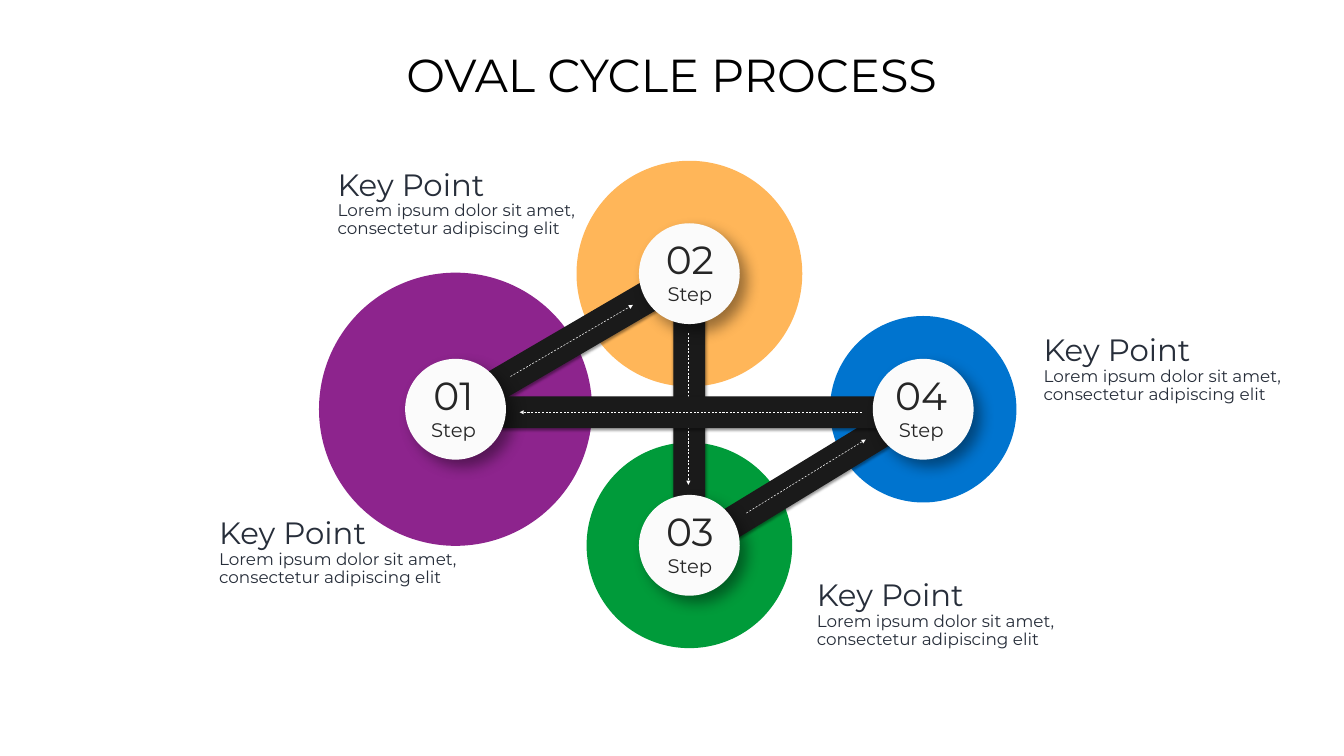
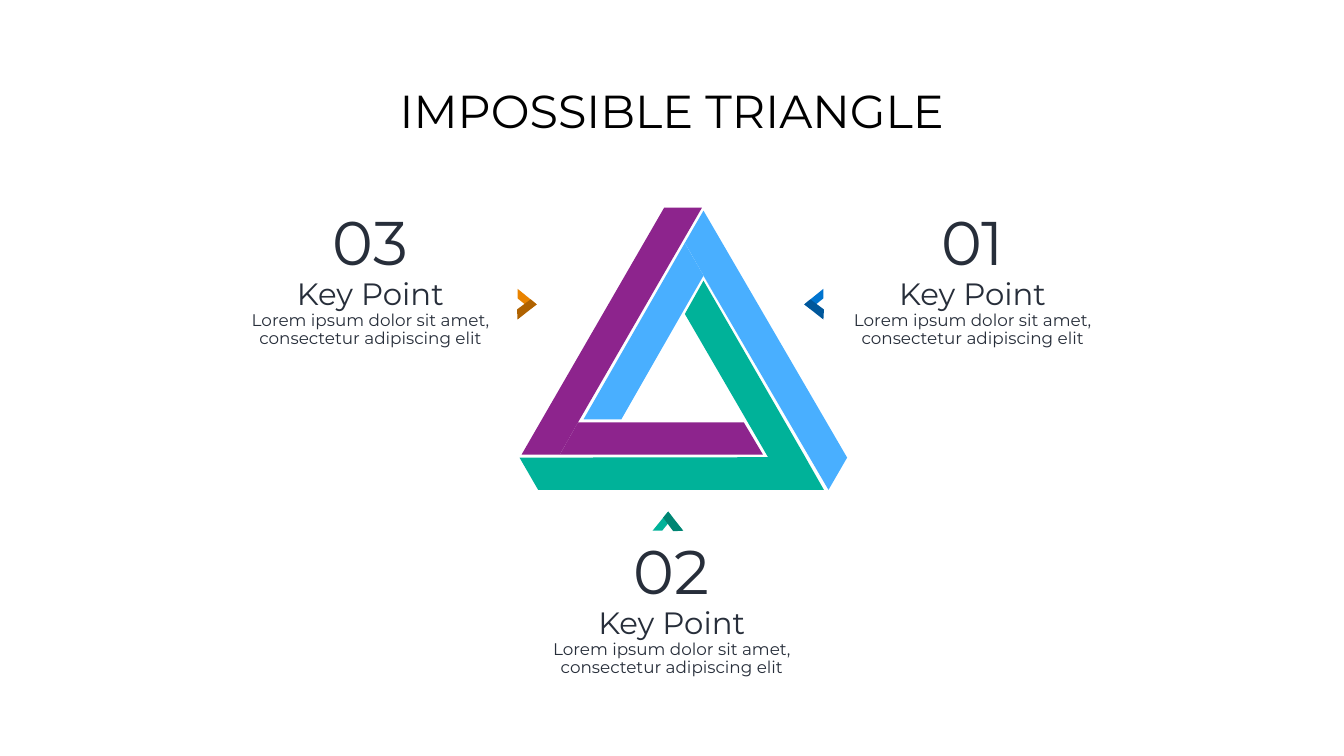
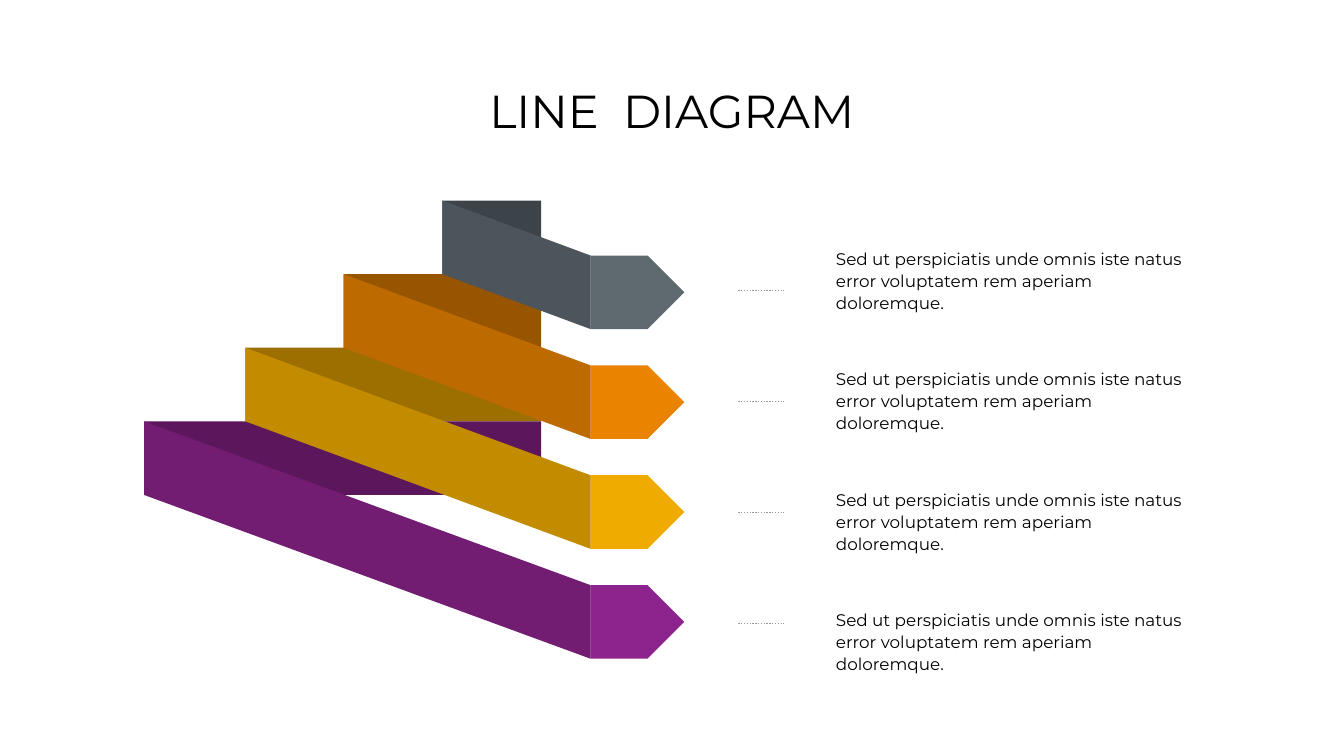
from dataclasses import dataclass

from lxml import etree
from pptx import Presentation
from pptx.dml.color import RGBColor
from pptx.enum.dml import MSO_LINE
from pptx.enum.shapes import MSO_CONNECTOR, MSO_SHAPE
from pptx.enum.text import MSO_ANCHOR, MSO_AUTO_SIZE, PP_ALIGN
from pptx.oxml.ns import qn
from pptx.util import Pt

PX = 9144  # one px is a hundredth of an inch
SLIDE_W, SLIDE_H = 2667, 1500
FONT = "Montserrat"
LEFT, CENTER = PP_ALIGN.LEFT, PP_ALIGN.CENTER
TOP, MIDDLE = MSO_ANCHOR.TOP, MSO_ANCHOR.MIDDLE
DASH, DOTS = MSO_LINE.DASH, MSO_LINE.ROUND_DOT
RECT, OVAL = MSO_SHAPE.RECTANGLE, MSO_SHAPE.OVAL
PENTAGON, PARALLELOGRAM = MSO_SHAPE.PENTAGON, MSO_SHAPE.PARALLELOGRAM

COLORS = {
    "black": "000000", "white": "FFFFFF", "ink": "272E3A", "step": "262626",
    "track": "1A1A1A", "hub": "FBFBFB", "dots": "999999",
    "blue": "0074CF", "blue_dark": "00579B", "sky": "49AFFF",
    "peach": "FFB659", "green": "009B3A",
    "teal": "00B299", "teal_dark": "008573",
    "purple": "8D248D", "purple_mid": "721D72", "purple_dark": "5C175C",
    "orange": "E98300", "orange_mid": "BD6A00", "orange_dark": "975500",
    "rust": "AF6200",
    "yellow": "F0AB00", "yellow_mid": "C28B00", "yellow_dark": "9C6F00",
    "slate": "5E6970", "slate_mid": "4C555B", "slate_dark": "3D4449",
}

KEY_POINT = [
    ("Key Point", 44),
    ("Lorem ipsum dolor sit amet, consectetur adipiscing elit", 24),
]
TIER_TEXT = ("Sed ut perspiciatis unde omnis iste natus error "
             "voluptatem rem aperiam doloremque.")


@dataclass(frozen=True)
class Shadow:
    blur: int
    distance: int
    angle: int


@dataclass(frozen=True)
class Step:
    number: str
    x: int
    y: int
    radius: int
    color: str
    label_x: int
    key_left: int
    key_top: int


@dataclass(frozen=True)
class Track:
    x: int
    y: int
    length: int
    rotation: float
    start: tuple[int, int]
    end: tuple[int, int]


@dataclass(frozen=True)
class Band:
    color: str
    points: list[tuple[int, int]]


@dataclass(frozen=True)
class Callout:
    number: str
    left: int
    top: int
    tip: tuple[int, int]
    away: tuple[int, int]  # direction from the chevron's tip to its open side
    light: str
    dark: str


@dataclass(frozen=True)
class Tier:
    left: int
    color: str


TRACK_SHADOW = Shadow(4, 3, 90)
HUB_SHADOW = Shadow(21, 15, 45)
TRACK_WIDTH = 63
HUB_RADIUS = 100
LABEL_W = 140

STEPS = [
    Step("04", 1832, 812, 185, "blue", 1828, 2061, 659),
    Step("02", 1368, 543, 224, "peach", 1369, 660, 331),
    Step("01", 904, 812, 271, "purple", 900, 425, 1022),
    Step("03", 1368, 1082, 204, "green", 1369, 1611, 1145),
]
TRACKS = [
    Track(1368, 821, 517, 270, (1366, 661), (1366, 962)),
    Track(1143, 672, 517, 329.7, (1013, 747), (1256, 605)),
    Track(1601, 947, 517, 328.6, (1481, 1018), (1718, 872)),
    Track(1360, 818, 893, 0, (1710, 818), (1031, 818)),
]

BANDS = [
    Band("sky", [(1158, 832), (1233, 832), (1396, 547), (1422, 592), (1359, 482)]),
    Band("sky", [(1396, 418), (1359, 482), (1422, 592), (1644, 972), (1681, 908)]),
    Band("teal", [(1396, 557), (1359, 623), (1524, 907), (1598, 907)]),
    Band("purple", [(1476, 838), (1147, 838), (1111, 902), (1514, 902)]),
    Band("purple", [(1393, 412), (1318, 412), (1035, 902), (1111, 902), (1147, 838)]),
    Band("teal", [(1598, 907), (1031, 908), (1068, 972), (1635, 972)]),
]
# Chevron arms as (distance away from the tip, offset across)
LIGHT_ARM = [(38, -31), (0, 0), (12, 9), (38, -12)]
DARK_ARM = [(39, 10), (12, -10), (0, 0), (38, 30)]
CALLOUTS = [
    Callout("01", 1639, 418, (1596, 604), (1, 0), "blue", "blue_dark"),
    Callout("03", 444, 418, (1065, 604), (-1, 0), "orange", "rust"),
    Callout("02", 1042, 1071, (1326, 1015), (0, 1), "teal", "teal_dark"),
]

TIERS = [Tier(878, "slate"), Tier(682, "orange"),
         Tier(487, "yellow"), Tier(286, "purple")]
RIBBON_H = 146
BACK_TOP, BACK_RIGHT = 398, 1074
TAG_TOP, TAG_STEP, TAG_LEFT, TAG_W = 507, 218, 1172, 186


def rgb(name: str) -> RGBColor:
    return RGBColor.from_string(COLORS[name])


def px(*lengths: float) -> list[int]:
    return [round(length * PX) for length in lengths]


def paint(shape, color: str) -> None:
    shape.fill.solid()
    shape.fill.fore_color.rgb = rgb(color)
    shape.line.fill.background()
    shape.shadow.inherit = False


def add_shadow(shape, shadow: Shadow) -> None:
    effects = shape._element.spPr.find(qn("a:effectLst"))
    outer = etree.SubElement(
        effects, qn("a:outerShdw"), blurRad=str(Pt(shadow.blur)),
        dist=str(Pt(shadow.distance)), dir=str(shadow.angle * 60000),
        algn="ctr", rotWithShape="0")
    tint = etree.SubElement(outer, qn("a:srgbClr"), val=COLORS["black"])
    etree.SubElement(tint, qn("a:alpha"), val="40000")


def add_preset(slide, kind, left: float, top: float, width: float,
               height: float, color: str, rotation: float = 0):
    shape = slide.shapes.add_shape(kind, *px(left, top, width, height))
    shape.rotation = rotation
    paint(shape, color)
    return shape


def add_disc(slide, x: int, y: int, radius: int, color: str):
    return add_preset(slide, OVAL, x - radius, y - radius,
                      2 * radius, 2 * radius, color)


def add_outline(slide, points: list[tuple[int, int]], color: str) -> None:
    builder = slide.shapes.build_freeform(*points[0], scale=PX)
    builder.add_line_segments(points[1:], close=True)
    paint(builder.convert_to_shape(), color)


def add_line(slide, start: tuple[int, int], end: tuple[int, int], color: str,
             width: float, dash, arrow: bool = False) -> None:
    connector = slide.shapes.add_connector(
        MSO_CONNECTOR.STRAIGHT, *px(*start, *end))
    connector.line.color.rgb = rgb(color)
    connector.line.width = Pt(width)
    connector.line.dash_style = dash
    if arrow:
        etree.SubElement(connector.line._get_or_add_ln(), qn("a:tailEnd"),
                         type="triangle")
    etree.SubElement(connector._element.spPr, qn("a:effectLst"))


def format_paragraph(paragraph, size: int, color: str, align,
                     spacing: float) -> None:
    paragraph.alignment = align
    paragraph.line_spacing = spacing
    paragraph.font.name = FONT
    paragraph.font.size = Pt(size)
    paragraph.font.color.rgb = rgb(color)


def add_text(slide, left: int, top: int, width: int, height: int,
             lines: list[tuple[str, int]], color: str, align=LEFT,
             spacing: float = 0.89, anchor=TOP, wrap: bool = True) -> None:
    frame = slide.shapes.add_textbox(*px(left, top, width, height)).text_frame
    frame.word_wrap = wrap
    frame.auto_size = MSO_AUTO_SIZE.SHAPE_TO_FIT_TEXT
    frame.vertical_anchor = anchor
    for index, (text, size) in enumerate(lines):
        paragraph = frame.add_paragraph() if index else frame.paragraphs[0]
        paragraph.text = text
        format_paragraph(paragraph, size, color, align, spacing)


def add_titled_slide(deck, title: str, bottom_inset: int = 5):
    slide = deck.slides.add_slide(deck.slide_layouts[5])
    holder = slide.shapes.title
    holder.left, holder.top, holder.width, holder.height = px(183, 80, 2300, 290)
    frame = holder.text_frame
    frame.text = title
    frame.word_wrap = True
    frame.auto_size = MSO_AUTO_SIZE.NONE
    frame.vertical_anchor = MIDDLE
    frame.margin_bottom = bottom_inset * PX
    format_paragraph(frame.paragraphs[0], 66, "black", CENTER, 0.9)
    return slide


def build_oval_cycle(deck) -> None:
    slide = add_titled_slide(deck, "OVAL CYCLE PROCESS", bottom_inset=148)
    for step in STEPS:
        add_disc(slide, step.x, step.y, step.radius, step.color)
    for track in TRACKS:
        bar = add_preset(slide, RECT, track.x - track.length / 2,
                         track.y - TRACK_WIDTH / 2, track.length, TRACK_WIDTH,
                         "track", track.rotation)
        add_shadow(bar, TRACK_SHADOW)
        add_line(slide, track.start, track.end, "white", 0.75, DASH, arrow=True)
    for step in STEPS:
        hub = add_disc(slide, step.x, step.y, HUB_RADIUS, "hub")
        add_shadow(hub, HUB_SHADOW)
        add_text(slide, step.label_x - LABEL_W // 2, step.y - 81, LABEL_W, 151,
                 [(step.number, 56), ("Step", 28)], "step", CENTER,
                 spacing=1.0, wrap=False)
        add_text(slide, step.key_left, step.key_top, 529, 148, KEY_POINT,
                 "ink", anchor=MIDDLE)


def chevron_arm(callout: Callout,
                arm: list[tuple[int, int]]) -> list[tuple[int, int]]:
    """Place an arm's local points at the callout's tip."""
    (tip_x, tip_y), (dx, dy) = callout.tip, callout.away
    return [(tip_x + along * dx + across * abs(dy),
             tip_y + along * dy + across * abs(dx)) for along, across in arm]


def build_impossible_triangle(deck) -> None:
    slide = add_titled_slide(deck, "IMPOSSIBLE TRIANGLE")
    for band in BANDS:
        add_outline(slide, band.points, band.color)
    for callout in CALLOUTS:
        add_outline(slide, chevron_arm(callout, LIGHT_ARM), callout.light)
        add_outline(slide, chevron_arm(callout, DARK_ARM), callout.dark)
        add_text(slide, callout.left, callout.top, 582, 280,
                 [(callout.number, 88), *KEY_POINT], "ink", CENTER)


def add_ribbon_front(slide, left: int, top: int, tag_top: int,
                     color: str) -> None:
    """Draw the slanted front from a tier's back edge down to its tag."""
    width, drop = TAG_LEFT - left, tag_top - top
    height = drop + RIBBON_H
    # Turned by 270 degrees, so the frame has width and height swapped
    front = add_preset(slide, PARALLELOGRAM, left + (width - height) / 2,
                       top + (height - width) / 2, height, width, color, 270)
    front.adjustments[0] = drop / min(width, height)


def build_line_diagram(deck) -> None:
    slide = add_titled_slide(deck, "LINE  DIAGRAM")
    for row, tier in enumerate(TIERS):
        add_preset(slide, RECT, tier.left, BACK_TOP + row * RIBBON_H,
                   BACK_RIGHT - tier.left, RIBBON_H, f"{tier.color}_dark")
    for row, tier in enumerate(TIERS):
        tag_top = TAG_TOP + row * TAG_STEP
        line_y = 577 + row * 220
        add_preset(slide, PENTAGON, TAG_LEFT, tag_top, TAG_W, RIBBON_H,
                   tier.color)
        add_line(slide, (1465, line_y), (1556, line_y), "dots", 2, DOTS)
        add_text(slide, 1649, 484 + row * 239, 726, 140, [(TIER_TEXT, 24)],
                 "black", spacing=1.1)
        add_ribbon_front(slide, tier.left, BACK_TOP + row * RIBBON_H, tag_top,
                         f"{tier.color}_mid")


def main() -> None:
    deck = Presentation()
    deck.slide_width, deck.slide_height = px(SLIDE_W, SLIDE_H)
    build_oval_cycle(deck)
    build_impossible_triangle(deck)
    build_line_diagram(deck)
    deck.save("out.pptx")


if __name__ == "__main__":
    main()
